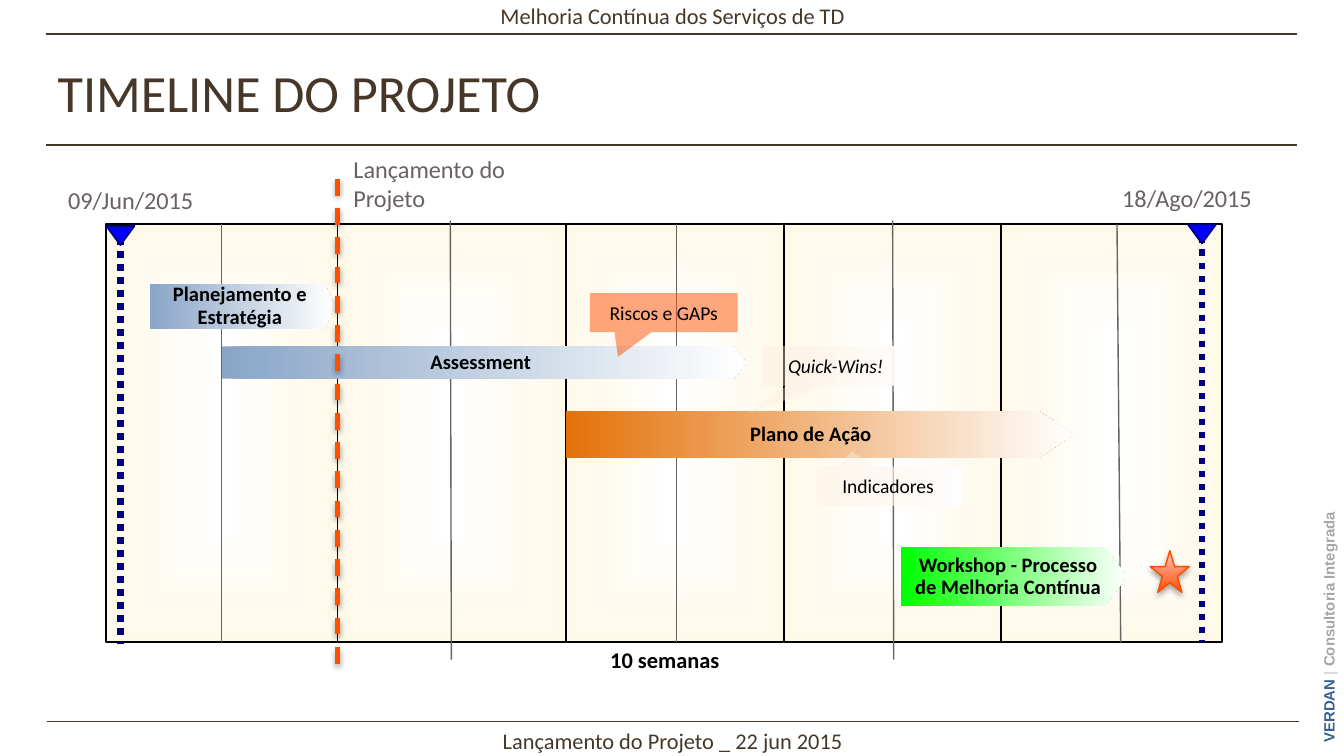
"""Build a one-slide project timeline."""
from itertools import pairwise

from lxml import etree
from pptx import Presentation
from pptx import util as u
from pptx.dml.color import RGBColor
from pptx.enum import dml, shapes, text
from pptx.oxml.ns import qn

COLORS = {
    "brown": "473729", "gray": "696261", "black": "000000", "white": "FFFFFF",
    "cream": "FFF9EA", "steel": "89A5C7", "amber": "E4720A", "green": "00FF00",
    "navy": "000080", "blue": "0000FF", "orange": "FE5000", "pink": "FFC2BC",
    "blush": "FDEBDB", "rim": "F84E00", "brand": "376092", "pale": "D9D9D9",
    "silver": "A6A6A6",
}
SHAPE = shapes.MSO_SHAPE
ALIGN = text.PP_ALIGN
ANCHOR = text.MSO_ANCHOR
TIGHT = (0.23, 0.1)
ROOMY = (0.25, 0.13)


def rgb(name):
    return RGBColor.from_string(COLORS[name])


def set_alpha(parent, percent):
    clr = next(parent.iter(qn("a:srgbClr")))
    etree.SubElement(clr, qn("a:alpha"), val=str(percent * 1000))


class Deck:
    def __init__(self, width, height, font="Calibri"):
        self.font = font
        self.prs = Presentation()
        self.prs.slide_width, self.prs.slide_height = u.Cm(width), u.Cm(height)
        self.s = self.prs.slides.add_slide(self.prs.slide_layouts[5])

    def add_runs(self, sp, runs, size, align=ALIGN.LEFT, anchor=ANCHOR.TOP,
                 spacing=None, margins=ROOMY, bold=False, italic=False, font=None):
        tf = sp.text_frame
        tf.word_wrap, tf.vertical_anchor = True, anchor
        tf.margin_left = tf.margin_right = u.Cm(margins[0])
        tf.margin_top = tf.margin_bottom = u.Cm(margins[1])
        p = tf.paragraphs[0]
        p.alignment = align
        if spacing:
            p.line_spacing = spacing
        for words, color in runs:
            r = p.add_run()
            r.text = words
            r.font.name, r.font.size = font or self.font, u.Pt(size)
            r.font.bold, r.font.italic = bold, italic
            r.font.color.rgb = rgb(color)

    def title(self, box, words):
        sp = self.s.shapes.title
        sp.left, sp.top, sp.width, sp.height = map(u.Cm, box)
        self.add_runs(sp, [(words, "brown")], 28, spacing=0.8, margins=TIGHT)
        sp.text_frame.auto_size = text.MSO_AUTO_SIZE.NONE

    def label(self, box, runs, size, rotation=0, **style):
        sp = self.s.shapes.add_textbox(*map(u.Cm, box))
        sp.rotation = rotation
        self.add_runs(sp, runs, size, **style)

    def shape(self, kind, box, line=None, width=1, adj=()):
        sp = self.s.shapes.add_shape(kind, *map(u.Cm, box))
        sp.shadow.inherit = False
        for i, value in enumerate(adj):
            sp.adjustments[i] = value
        if line:
            sp.line.color.rgb, sp.line.width = rgb(line), u.Pt(width)
        else:
            sp.line.fill.background()
        return sp

    def solid(self, sp, color, alpha=None):
        sp.fill.solid()
        sp.fill.fore_color.rgb = rgb(color)
        if alpha:
            set_alpha(sp._element.spPr, alpha)

    def gradient(self, sp, start, end, angle=0, alpha=None, centered=False):
        sp.fill.gradient()
        sp.fill.gradient_angle = angle
        for stop, color in zip(sp.fill.gradient_stops, (start, end)):
            stop.color.rgb = rgb(color)
        grad = sp._element.spPr.find(qn("a:gradFill"))
        if alpha:
            set_alpha(grad, alpha)
        if centered:
            lin = grad.find(qn("a:lin"))
            rings = etree.Element(qn("a:path"), {"path": "shape"})
            etree.SubElement(rings, qn("a:fillToRect"),
                             {side: "50000" for side in "ltrb"})
            grad.replace(lin, rings)

    def shadow(self, effects, alpha, distance):
        shade = etree.SubElement(effects, qn("a:outerShdw"),
                                 blurRad=str(u.Pt(3.1)), dist=str(u.Pt(distance)),
                                 dir="5400000", rotWithShape="0")
        etree.SubElement(shade, qn("a:srgbClr"), val=COLORS["black"])
        set_alpha(shade, alpha)

    def line(self, ends, color, width=0.75, dash=None):
        c = self.s.shapes.add_connector(shapes.MSO_CONNECTOR.STRAIGHT,
                                        *map(u.Cm, ends))
        c.line.color.rgb, c.line.width = rgb(color), u.Pt(width)
        if dash:
            c.line.dash_style = dash
        return etree.SubElement(c._element.spPr, qn("a:effectLst"))

    def bar(self, box, color, words, point):
        sp = self.shape(SHAPE.PENTAGON, box, adj=[point])
        self.gradient(sp, color, "white")
        self.add_runs(sp, [(words, "black")], 11, ALIGN.CENTER, ANCHOR.MIDDLE,
                      0.9, bold=True)

    def callout(self, left, top, words, adj, solid=False, italic=False):
        sp = self.shape(SHAPE.RECTANGULAR_CALLOUT, (left, top, 2.79, 0.74), adj=adj)
        if solid:
            self.solid(sp, "orange", 50)
        else:
            self.gradient(sp, "blush", "white", alpha=21)
        self.add_runs(sp, [(words, "black")], 10.5, ALIGN.CENTER, ANCHOR.MIDDLE,
                      italic=italic)

    def marker(self, left, top):
        center = left + 0.27
        self.line((center, top + 0.23, center, top + 7.9), "navy", 3.5,
                  dml.MSO_LINE.ROUND_DOT)
        sp = self.shape(SHAPE.ISOSCELES_TRIANGLE, (left, top, 0.53, 0.36), "navy")
        sp.rotation = 180
        self.solid(sp, "blue")

    def star(self, box):
        sp = self.shape(SHAPE.STAR_5_POINT, box, "rim", 0.75)
        self.gradient(sp, "orange", "pink", angle=90)
        self.shadow(sp._element.spPr.find(qn("a:effectLst")), 35, 1.8)


def main():
    d = Deck(25.4, 14.29)
    top, bottom = 4.24, 12.14

    d.title((0.86, 1.27, 23.67, 1.3), "TIMELINE DO PROJETO")
    for left, y in ((0.86, 0.64), (0.86, 2.74), (0.89, 13.64)):
        d.line((left, y, left + 23.66, y), "brown")
    for y, words, anchor in (
            (-0.03, "Melhoria Contínua dos Serviços de TD", ANCHOR.MIDDLE),
            (13.64, "Lançamento do Projeto _ 22 jun 2015", ANCHOR.TOP)):
        d.label((8.31, y, 8.81, 0.66), [(words, "brown")], 12,
                align=ALIGN.CENTER, anchor=anchor, margins=TIGHT)
    d.label((22.56, 11.46, 5.08, 0.58),
            [("VERDAN ", "brand"), ("| ", "pale"),
             ("Consultoria Integrada", "silver")],
            8, rotation=270, bold=True, font="Arial")

    for left, right in pairwise((2.01, 6.38, 10.69, 14.81, 18.92, 23.09)):
        period = d.shape(SHAPE.RECTANGLE, (left, top, right - left, bottom - top),
                         "black")
        d.gradient(period, "white", "cream", centered=True)
    for x1, x2 in ((4.19, 4.19), (12.78, 12.78), (21.11, 21.18)):
        d.line((x1, top, x2, bottom), "gray")
    for x in (8.51, 16.87):
        d.line((x, 4.17, x + 0.02, 12.47), "gray")

    d.bar((2.84, 5.36, 3.48, 0.86), "steel", "Planejamento e Estratégia", 0.21)
    d.bar((4.19, 6.55, 9.91, 0.61), "steel", "Assessment", 0.38)
    d.marker(22.45, top)
    d.label((2.01, bottom, 21.11, 0.64), [("10 semanas", "black")], 12,
            align=ALIGN.CENTER, anchor=ANCHOR.MIDDLE, bold=True)
    d.bar((10.69, 7.77, 9.6, 0.89), "amber", "Plano de Ação", 0.74)
    d.bar((17.02, 10.34, 4.27, 1.12), "green",
          "Workshop - Processo de Melhoria Contínua", 0.36)

    d.callout(11.15, 5.54, "Riscos e GAPs", (-0.31, 1.13), solid=True)
    d.callout(14.4, 6.55, "Quick-Wins!", (-0.6, 1.19), italic=True)
    d.callout(15.39, 8.81, "Indicadores", (-0.25, -0.88))

    launch = d.line((6.38, 3.38, 6.38, 12.78), "orange", 2.25, dml.MSO_LINE.DASH)
    d.shadow(launch, 38, 1.6)
    for box, words in (((1.04, 3.38, 3.73, 0.81), "09/Jun/2015"),
                       ((20.96, 3.33, 3.33, 0.81), "18/Ago/2015"),
                       ((6.43, 2.79, 3.73, 1.37), "Lançamento do Projeto")):
        d.label(box, [(words, "gray")], 13)
    d.star((21.74, 10.41, 0.74, 0.79))
    d.marker(2.01, 4.27)
    d.prs.save("out.pptx")


if __name__ == "__main__":
    main()
